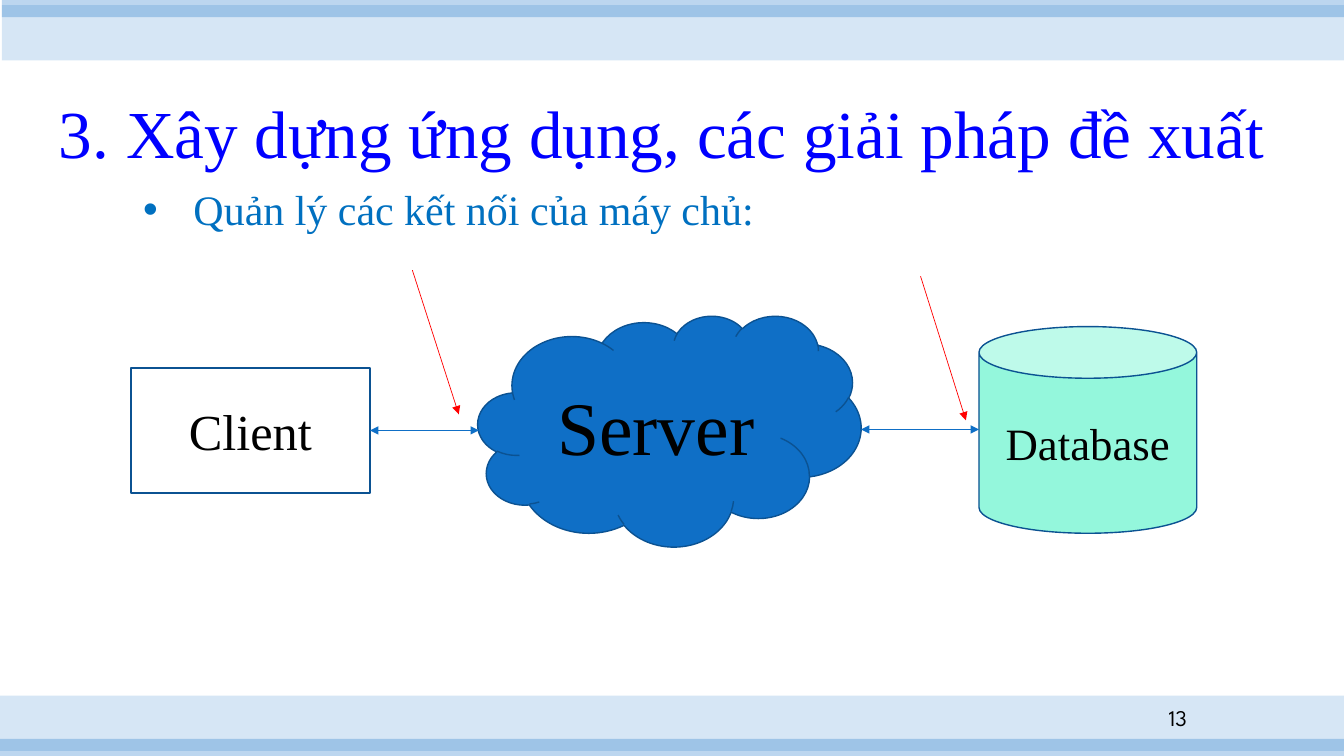
from dataclasses import dataclass
from typing import Optional

from lxml import etree
from pptx import Presentation
from pptx.dml.color import RGBColor
from pptx.enum.shapes import MSO_CONNECTOR, MSO_SHAPE
from pptx.enum.text import MSO_ANCHOR, PP_ALIGN
from pptx.oxml.ns import qn
from pptx.util import Inches, Pt

RECT, CLOUD, CAN = MSO_SHAPE.RECTANGLE, MSO_SHAPE.CLOUD, MSO_SHAPE.CAN
STRAIGHT = MSO_CONNECTOR.STRAIGHT
TOP, MIDDLE, BOTTOM = MSO_ANCHOR.TOP, MSO_ANCHOR.MIDDLE, MSO_ANCHOR.BOTTOM
LEFT, CENTER, RIGHT = PP_ALIGN.LEFT, PP_ALIGN.CENTER, PP_ALIGN.RIGHT

SERIF, SANS = "Times New Roman", "League Spartan"
WIDTH, HEIGHT = 13.33, 7.5
COLORS = {
    "blue": "0F6FC6", "outline": "0B5292", "title": "0000FF",
    "bullet": "0070C0", "mint": "94F7DC", "red": "FF0000",
    "black": "000000", "white": "FFFFFF",
}


@dataclass(frozen=True)
class Box:
    left: float
    top: float
    width: float
    height: float

    def emu(self) -> list:
        return [Inches(v) for v in (self.left, self.top, self.width, self.height)]


@dataclass(frozen=True)
class Band:
    box: Box
    opacity: int


@dataclass(frozen=True)
class Label:
    text: str
    size: int
    color: str = "black"
    font: str = SERIF
    align: PP_ALIGN = CENTER
    anchor: MSO_ANCHOR = MIDDLE
    spacing: Optional[float] = None
    bullet: bool = False


@dataclass(frozen=True)
class Node:
    box: Box
    shape: MSO_SHAPE
    fill: str
    label: Label


@dataclass(frozen=True)
class Arrow:
    start: tuple[float, float]
    end: tuple[float, float]
    color: str
    both_ends: bool


BANDS = [
    Band(Box(0, 6.9, WIDTH, 0.55), 17),
    Band(Box(0, 7.33, WIDTH, 0.17), 28),
    Band(Box(0.02, 0.05, WIDTH, 0.55), 17),
    Band(Box(0.02, 0, WIDTH, 0.17), 28),
]
TEXTS = [
    (Box(11.17, 6.99, 0.7, 0.26), Label("13", 16, font=SANS, align=RIGHT)),
    (Box(0.26, 0.7, 12.61, 1.07),
     Label("3. Xây dựng ứng dụng, các giải pháp đề xuất", 48, "title",
           anchor=BOTTOM, spacing=0.9)),
    (Box(1.32, 1.77, 6.59, 0.91),
     Label("Quản lý các kết nối của máy chủ:", 30, "bullet",
           align=LEFT, anchor=TOP, bullet=True)),
]
NODES = [
    Node(Box(1.3, 3.65, 2.37, 1.24), RECT, "white", Label("Client", 36)),
    Node(Box(4.74, 3.13, 3.8, 2.29), CLOUD, "blue", Label("Server", 54)),
    Node(Box(9.71, 3.24, 2.16, 2.05), CAN, "mint", Label("Database", 32)),
]
ARROWS = [
    Arrow((3.67, 4.27), (4.75, 4.27), "blue", True),
    Arrow((8.54, 4.26), (9.71, 4.26), "blue", True),
    Arrow((4.09, 2.68), (4.55, 4.11), "red", False),
    Arrow((9.13, 2.74), (9.58, 4.17), "red", False),
]


def rgb(name: str) -> RGBColor:
    return RGBColor.from_string(COLORS[name])


def set_attributes(target, values: dict) -> None:
    for name, value in values.items():
        setattr(target, name, value)


def write_label(sp, label: Label) -> None:
    tf = sp.text_frame
    set_attributes(tf, {"word_wrap": True, "vertical_anchor": label.anchor})
    p = tf.paragraphs[0]
    set_attributes(p, {"alignment": label.align, "line_spacing": label.spacing})
    if label.bullet:
        pPr = p._p.get_or_add_pPr()
        pPr.set("marL", str(Inches(0.5)))
        pPr.set("indent", str(-Inches(0.5)))
        etree.SubElement(pPr, qn("a:buFont"), typeface="Arial")
        etree.SubElement(pPr, qn("a:buChar"), char="•")
    r = p.add_run()
    r.text = label.text
    set_attributes(r.font, {"name": label.font, "size": Pt(label.size)})
    r.font.color.rgb = rgb(label.color)


def add_filled(s, shape: MSO_SHAPE, box: Box, fill: str):
    sp = s.shapes.add_shape(shape, *box.emu())
    sp.shadow.inherit = False
    sp.fill.solid()
    sp.fill.fore_color.rgb = rgb(fill)
    return sp


def add_band(s, band: Band) -> None:
    sp = add_filled(s, RECT, band.box, "blue")
    sp.line.fill.background()
    color = sp._element.spPr.find(qn("a:solidFill")).find(qn("a:srgbClr"))
    etree.SubElement(color, qn("a:alpha"), val=str(band.opacity * 1000))


def add_node(s, node: Node) -> None:
    sp = add_filled(s, node.shape, node.box, node.fill)
    sp.line.color.rgb = rgb("outline")
    sp.line.width = Pt(1)
    write_label(sp, node.label)


def add_arrow(s, arrow: Arrow) -> None:
    points = [Inches(v) for v in (*arrow.start, *arrow.end)]
    sp = s.shapes.add_connector(STRAIGHT, *points)
    sp.line.color.rgb = rgb(arrow.color)
    sp.line.width = Pt(0.5)
    ln = sp.line._get_or_add_ln()
    for tag in ("a:headEnd", "a:tailEnd") if arrow.both_ends else ("a:tailEnd",):
        etree.SubElement(ln, qn(tag), type="triangle")
    etree.SubElement(sp._element.spPr, qn("a:effectLst"))


def main() -> None:
    prs = Presentation()
    set_attributes(prs, {"slide_width": Inches(WIDTH), "slide_height": Inches(HEIGHT)})
    s = prs.slides.add_slide(prs.slide_layouts[6])
    for band in BANDS:
        add_band(s, band)
    for box, label in TEXTS:
        write_label(s.shapes.add_textbox(*box.emu()), label)
    for node in NODES:
        add_node(s, node)
    for arrow in ARROWS:
        add_arrow(s, arrow)
    prs.save("out.pptx")


if __name__ == "__main__":
    main()
